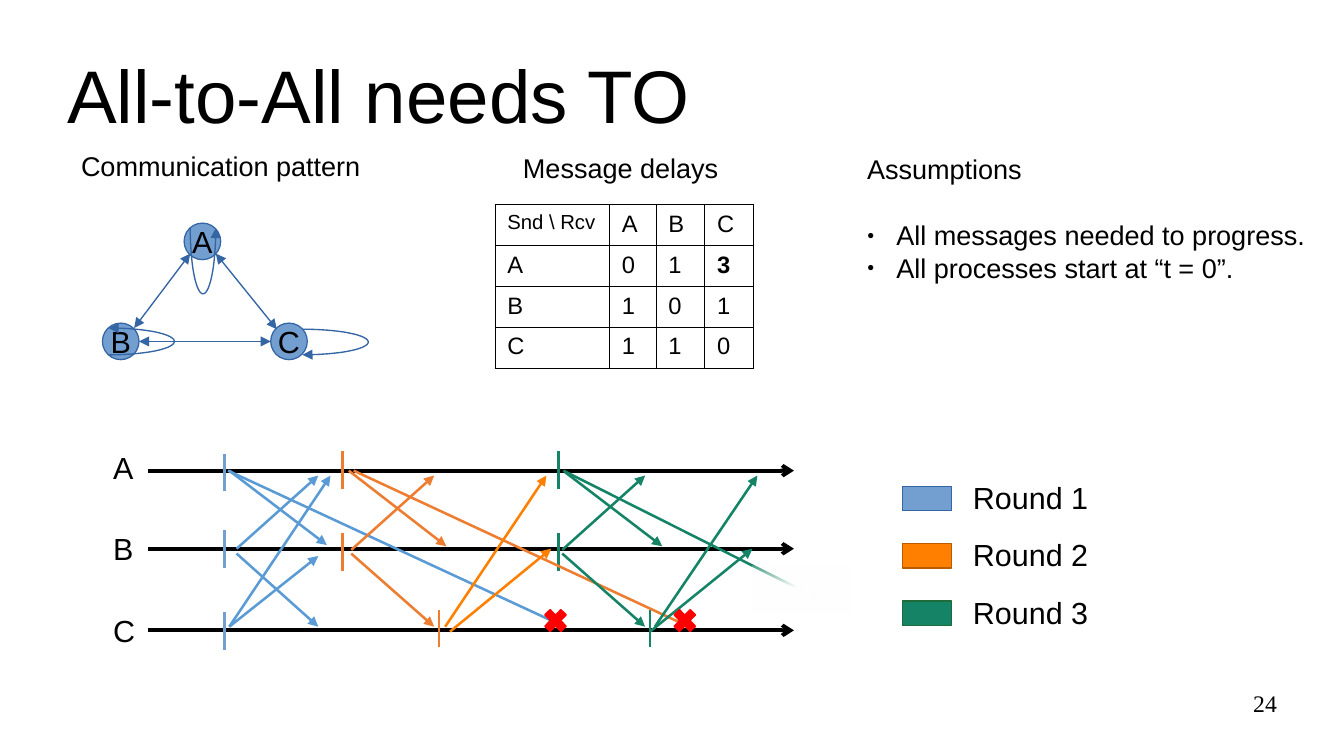
from math import cos, pi, sin

from lxml.etree import SubElement
from pptx import Presentation
from pptx.dml.color import RGBColor
from pptx.enum.shapes import MSO_CONNECTOR as Link, MSO_SHAPE as Form
from pptx.enum.text import MSO_ANCHOR as Anchor, MSO_AUTO_SIZE as Fit, PP_ALIGN as Align
from pptx.oxml.ns import qn
from pptx.util import Inches, Pt

BLACK = RGBColor(0x00, 0x00, 0x00)
WHITE = RGBColor(0xFF, 0xFF, 0xFF)
RED = RGBColor(0xFF, 0x00, 0x00)
BLUE = RGBColor(0x72, 0x9F, 0xCF)
NAVY = RGBColor(0x34, 0x65, 0xA4)
SKY = RGBColor(0x5B, 0x9B, 0xD5)
RUST = RGBColor(0xED, 0x7D, 0x31)
ORANGE = RGBColor(0xFF, 0x80, 0x00)
BROWN = RGBColor(0xB8, 0x5C, 0x00)
GREEN = RGBColor(0x15, 0x84, 0x66)
MOSS = RGBColor(0x1E, 0x6A, 0x39)

NAMES = "ABC"
DELAYS = [["Snd \\ Rcv", *NAMES], list("A013"), list("B101"), list("C110")]
ROWS = [0.26, 0.9, 1.57]
TICKS = {
    BLUE: [(1.04, 0.12), (1.04, 0.75), (1.04, 1.42)],
    RUST: [(2.01, 0.1), (2.01, 0.77), (2.8, 1.4)],
    GREEN: [(3.78, 0.1), (3.78, 0.77), (4.53, 1.4)],
}
SENDS = {
    SKY: [(1.08, 1.54, 1.91, 0.3), (1.14, 0.9, 1.81, 0.3), (1.14, 0.94, 1.81, 1.54),
          (1.08, 0.26, 1.88, 0.87), (1.07, 0.26, 3.83, 1.54), (1.08, 1.54, 1.81, 0.96)],
    RUST: [(2.08, 0.91, 2.76, 0.3), (2.08, 0.94, 2.76, 1.54),
           (2.06, 0.26, 2.86, 0.88), (2.1, 0.26, 4.85, 1.54)],
    ORANGE: [(2.85, 1.54, 3.68, 0.3), (2.89, 1.58, 3.72, 0.9)],
    GREEN: [(3.81, 0.91, 4.49, 0.3), (3.81, 0.94, 4.49, 1.54), (3.83, 0.27, 4.63, 0.88),
            (3.82, 0.26, 5.93, 1.32), (4.57, 1.54, 5.41, 0.3), (4.53, 1.58, 5.37, 0.9)],
}


def place(shape, x, y, w, h):
    """Move and size a shape in inches."""
    shape.left, shape.top, shape.width, shape.height = map(Inches, (x, y, w, h))


def style(para, size, align=Align.LEFT, face="Arial"):
    """Set the font and alignment of a paragraph."""
    para.alignment = align
    para.font.size, para.font.name = Pt(size), face
    para.font.color.rgb = BLACK


def pad(frame, x, y):
    """Set the insets of a text frame."""
    frame.margin_left = frame.margin_right = Inches(x)
    frame.margin_top = frame.margin_bottom = Inches(y)


def label(slide, text, box, size, align=Align.LEFT, face="Arial", inset=(0.1, 0.05)):
    """Add a one-line text box."""
    frame = slide.shapes.add_textbox(*map(Inches, box)).text_frame
    frame.word_wrap = True
    pad(frame, *inset)
    frame.text = text
    style(frame.paragraphs[0], size, align, face)


def stroke(shape, color, width, **ends):
    """Draw an outline with optional arrowheads."""
    shape.line.color.rgb, shape.line.width = color, Pt(width)
    line = shape.element.spPr.get_or_add_ln()
    for end, kind in ends.items():
        SubElement(line, qn(f"a:{end}End"), type=kind)


def link(slide, x, y, x2, y2, color, width, **ends):
    """Add a straight line."""
    wire = slide.shapes.add_connector(Link.STRAIGHT, *map(Inches, (x, y, x2, y2)))
    stroke(wire, color, width, **ends)
    SubElement(wire.element.spPr, qn("a:effectLst"))


def solid(slide, form, box, fill, edge, width=0):
    """Add a filled preset shape."""
    shape = slide.shapes.add_shape(form, *map(Inches, box))
    shape.shadow.inherit = False
    shape.fill.solid()
    shape.fill.fore_color.rgb = fill
    stroke(shape, edge, width)
    return shape


def loop(slide, x, y, x2, y2, dx, dy):
    """Add a self-message as half an oval from start to end."""
    mx, my = (x + x2) / 2, (y + y2) / 2
    turns = [pi * i / 40 for i in range(41)]
    dots = [(Inches(mx + (x - mx) * cos(t) + dx * sin(t)),
             Inches(my + (y - my) * cos(t) + dy * sin(t))) for t in turns]
    pen = slide.shapes.build_freeform(*dots[0])
    pen.add_line_segments(dots[1:], close=False)
    curve = pen.convert_to_shape()
    curve.shadow.inherit = False
    curve.fill.background()
    stroke(curve, NAVY, 0.79, tail="triangle")


def head(slide, box):
    """Fill the title."""
    title = slide.shapes.title
    place(title, *box)
    frame = title.text_frame
    frame.text = "All-to-All needs TO"
    frame.vertical_anchor, frame.auto_size = Anchor.MIDDLE, Fit.NONE
    pad(frame, 0, 0)
    style(frame.paragraphs[0], 44)


def pattern(slide, x, y):
    """Draw the communication graph."""
    label(slide, "Communication pattern", (x, y, 2.78, 0.35), 16, Align.CENTER)
    for name, dx, dy in zip(NAMES, (1.09, 0.42, 1.8), (0.65, 1.47, 1.47)):
        node = solid(slide, Form.OVAL, (x + dx, y + dy, 0.3, 0.3), BLUE, NAVY)
        frame = node.text_frame
        frame.word_wrap, frame.vertical_anchor = False, Anchor.MIDDLE
        pad(frame, 0, 0)
        frame.text = name
        style(frame.paragraphs[0], 18, Align.CENTER)
    for a, b, c, d in [(1.8, 1.62, 0.72, 1.62), (1.14, 0.9, 0.68, 1.51), (1.35, 0.9, 1.85, 1.52)]:
        link(slide, x + a, y + b, x + c, y + d, NAVY, 0.79, head="triangle", tail="triangle")
    for a, b, c, d, dx, dy in [(1.14, 0.69, 1.35, 0.69, 0, 0.54),
                               (0.47, 1.73, 0.47, 1.51, 0.54, 0),
                               (2.06, 1.52, 2.06, 1.73, 0.54, 0)]:
        loop(slide, x + a, y + b, x + c, y + d, dx, dy)


def delays(slide, x, y):
    """Build the table of message delays."""
    label(slide, "Message delays", (x + 0.13, y, 1.9, 0.38), 16)
    grid = slide.shapes.add_table(4, 4, *map(Inches, (x, y + 0.49, 2.12, 1.34))).table
    grid.first_row = grid.horz_banding = False
    for col, width in zip(grid.columns, (0.94, 0.38, 0.4, 0.4)):
        col.width = Inches(width)
    for r, row in enumerate(DELAYS):
        for c, text in enumerate(row):
            cell = grid.cell(r, c)
            cell.text = text
            pad(cell, 0.1, 0.05)
            para = cell.text_frame.paragraphs[0]
            style(para, 14 if r + c else 12)
            para.font.bold = text == "3"
            cell.fill.background()
            props = cell._tc.get_or_add_tcPr()
            for i, side in enumerate("LRTB"):
                edge = SubElement(props, qn(f"a:ln{side}"), w=str(Pt(0.57)))
                fill = SubElement(edge, qn("a:solidFill"))
                SubElement(fill, qn("a:srgbClr"), val=str(BLACK))
                props.insert(i, edge)


def premise(slide, box):
    """Fill the body with the assumptions."""
    body = slide.placeholders[1]
    place(body, *box)
    frame = body.text_frame
    frame.text = "Assumptions\nAll messages needed to progress.\nAll processes start at “t = 0”."
    frame.word_wrap, frame.auto_size = True, Fit.NONE
    pad(frame, 0.1, 0.05)
    for i, para in enumerate(frame.paragraphs):
        props = para._p.get_or_add_pPr()
        props.set("marL", str(Inches(0.24) if i else 0))
        props.set("indent", str(Inches(-0.24) if i else 0))
        if i:
            tint = SubElement(props, qn("a:buClr"))
            SubElement(tint, qn("a:srgbClr"), val=str(BLACK))
            SubElement(props, qn("a:buSzPct"), val="45000")
            SubElement(props, qn("a:buChar"), char="●")
        else:
            SubElement(props, qn("a:buNone"))
        para.space_before, para.space_after = Pt(0), Pt(0 if i else 20)
        style(para, 16)


def runs(slide, x, y):
    """Draw the process timelines and their messages."""
    for i, (name, row) in enumerate(zip(NAMES, ROWS)):
        label(slide, name, (x + 0.03, y + 0.03 + 0.67 * i, 0.4, 0.38), 18)
        link(slide, x + 0.41, y + row, x + 5.71, y + row, BLACK, 2.25, tail="arrow")
    for color, marks in TICKS.items():
        for a, b in marks:
            link(slide, x + a, y + b, x + a, y + b + 0.31, color, 1.5)
    for color, paths in SENDS.items():
        for a, b, c, d in paths:
            link(slide, x + a, y + b, x + c, y + d, color, 1.5, tail="triangle")
    for a in (3.63, 4.69):
        solid(slide, Form.MATH_MULTIPLY, (x + a, y + 1.36, 0.25, 0.26), RED, RED, 1)
    veil = solid(slide, Form.RECTANGLE, (x + 5.37, y + 1.04, 0.8, 0.4), WHITE, WHITE)
    veil.line.fill.background()
    veil.fill.gradient()
    veil.fill.gradient_angle = 90
    for stop, spot in zip(veil.fill.gradient_stops, (0.55, 1)):
        stop.color.rgb, stop.position = WHITE, spot
    tints = list(veil.element.spPr.iter(qn("a:srgbClr")))
    SubElement(tints[-1], qn("a:alpha"), val="20000")


def legend(slide, x, y):
    """Draw the key to the rounds."""
    for i, (fill, edge) in enumerate([(BLUE, NAVY), (ORANGE, BROWN), (GREEN, MOSS)]):
        top = y + 0.47 * i
        solid(slide, Form.RECTANGLE, (x, top + 0.11, 0.4, 0.2), fill, edge)
        label(slide, f"Round {i + 1}", (x + 0.48, top, 1.3, 0.38), 18)


def main():
    """Build and save the slide."""
    deck = Presentation()
    deck.slide_width, deck.slide_height = Inches(11.02), Inches(6.2)
    slide = deck.slides.add_slide(deck.slide_layouts[1])
    head(slide, (0.55, 0.25, 9.92, 1.04))
    pattern(slide, 0.42, 1.18)
    delays(slide, 4.06, 1.19)
    premise(slide, (7.01, 1.2, 3.9, 1.2))
    runs(slide, 0.8, 3.6)
    legend(slide, 7.4, 3.88)
    label(slide, "24", (7.9, 5.65, 2.57, 0.43), 14, Align.RIGHT, "Times New Roman", (0, 0))
    deck.save("out.pptx")


if __name__ == "__main__":
    main()
